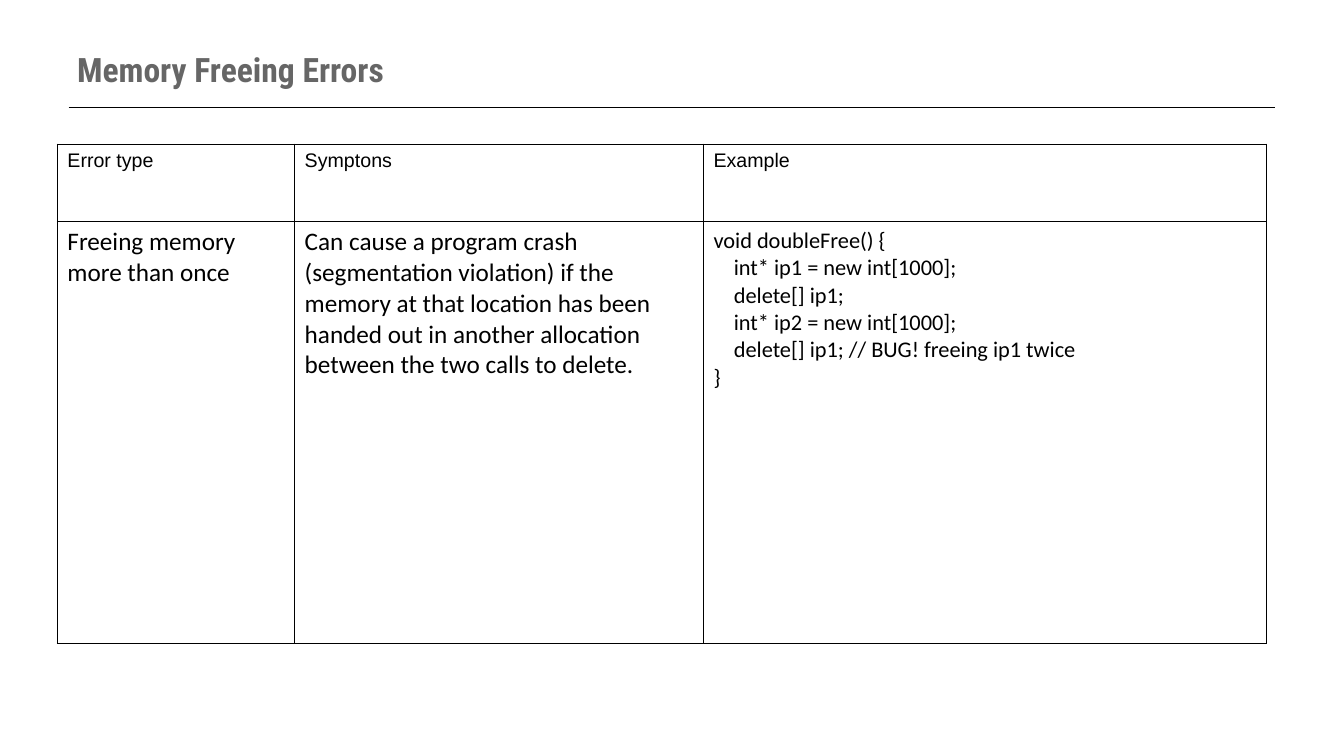
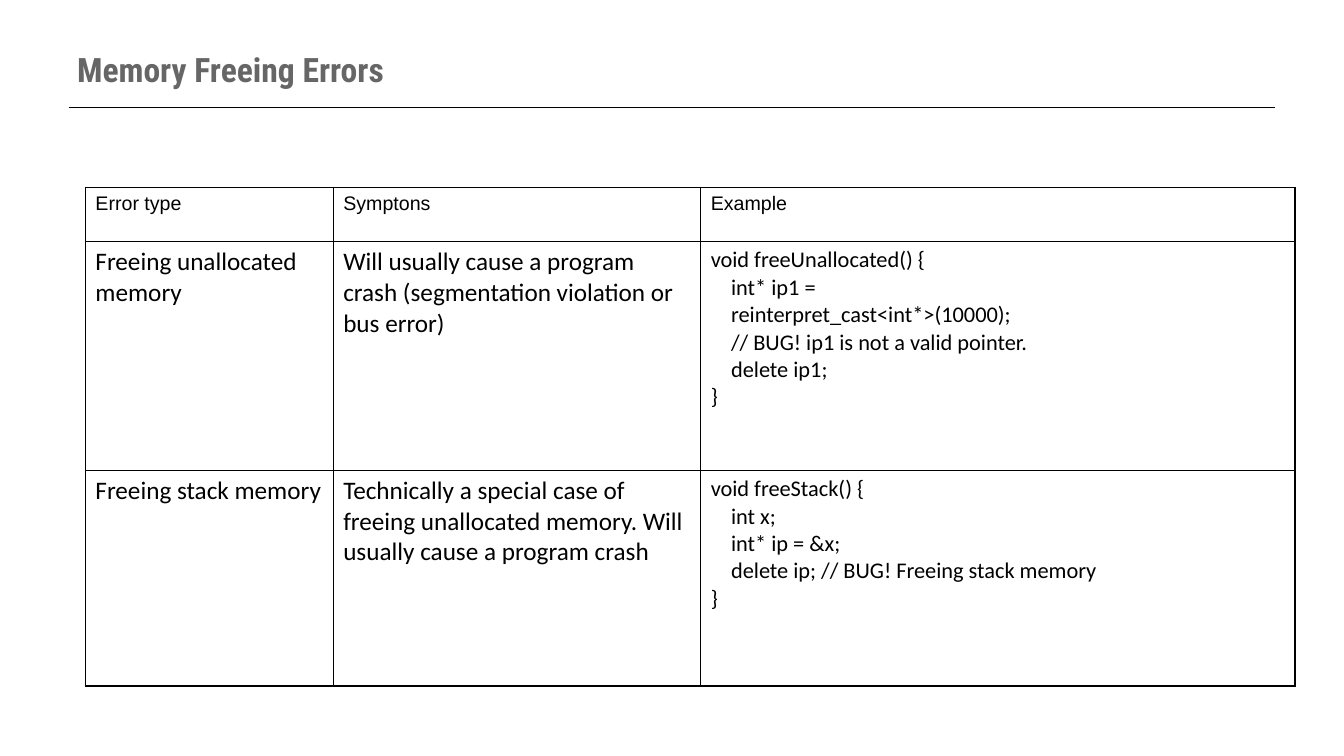
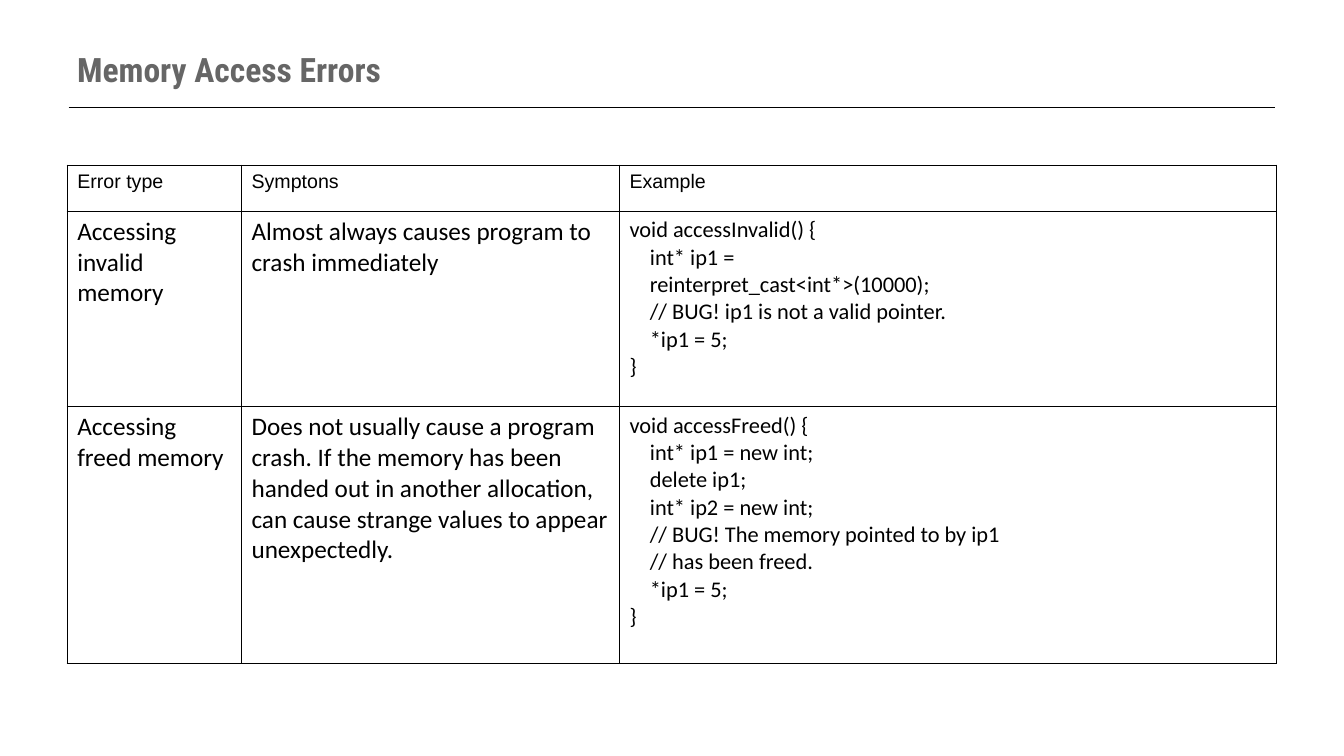
"""Build three slides of tables on memory freeing and memory access errors."""
from lxml.etree import SubElement
from pptx import Presentation
from pptx.dml.color import RGBColor
from pptx.enum.shapes import MSO_CONNECTOR as Connector
from pptx.enum.text import MSO_ANCHOR as Anchor
from pptx.oxml.ns import qn
from pptx.util import Pt

BLACK = RGBColor(0, 0, 0)
GREY = RGBColor(0x66, 0x66, 0x66)

TITLE_FONT = {"name": "Roboto Condensed", "size": Pt(24), "bold": True}
HEADING_FONT = {"name": "Arial", "size": Pt(14), "bold": False}
PROSE_FONT = {"name": "Calibri", "size": Pt(18), "bold": False}
CODE_FONT = {"name": "Calibri", "size": Pt(16), "bold": False}
COLUMN_FONTS = (PROSE_FONT, PROSE_FONT, CODE_FONT)
TABLE_FLAGS = {"first_row": False, "horz_banding": False}
CODE_INDENT = Pt(14.5)
BORDERS = ("a:lnL", "a:lnR", "a:lnT", "a:lnB")

HEADINGS = ("Error type", "Symptons", "Example")
SLIDES = [
    {
        "title": "Memory Freeing Errors",
        "corner": (41, 103),
        "widths": (169.5, 292, 402),
        "heights": (55.5, 301),
        "errors": [
            ("Freeing memory more than once",
             "Can cause a program crash (segmentation violation) if the memory at that "
             "location has been handed out in another allocation between the two calls "
             "to delete.",
             ("void doubleFree() {",
              "int* ip1 = new int[1000];",
              "delete[] ip1;",
              "int* ip2 = new int[1000];",
              "delete[] ip1; // BUG! freeing ip1 twice",
              "}")),
        ],
    },
    {
        "title": "Memory Freeing Errors",
        "corner": (61, 134),
        "widths": (177, 262.5, 424.5),
        "heights": (38.5, 163.5, 154),
        "errors": [
            ("Freeing unallocated memory",
             "Will usually cause a program crash (segmentation violation or bus error)",
             ("void freeUnallocated() {",
              "int* ip1 =",
              "reinterpret_cast<int*>(10000);",
              "// BUG! ip1 is not a valid pointer.",
              "delete ip1;",
              "}")),
            ("Freeing stack memory",
             "Technically a special case of freeing unallocated memory. Will usually "
             "cause a program crash",
             ("void freeStack() {",
              "int x;",
              "int* ip = &x;",
              "delete ip; // BUG! Freeing stack memory",
              "}")),
        ],
    },
    {
        "title": "Memory Access Errors",
        "corner": (48, 118),
        "widths": (124.5, 270, 469.5),
        "heights": (33, 139.5, 183.5),
        "errors": [
            ("Accessing invalid memory",
             "Almost always causes program to crash immediately",
             ("void accessInvalid() {",
              "int* ip1 =",
              "reinterpret_cast<int*>(10000);",
              "// BUG! ip1 is not a valid pointer.",
              "*ip1 = 5;",
              "}")),
            ("Accessing freed memory",
             "Does not usually cause a program crash. If the memory has been handed out "
             "in another allocation, can cause strange values to appear unexpectedly.",
             ("void accessFreed() {",
              "int* ip1 = new int;",
              "delete ip1;",
              "int* ip2 = new int;",
              "// BUG! The memory pointed to by ip1",
              "// has been freed.",
              "*ip1 = 5;",
              "}")),
        ],
    },
]


def set_all(target, values):
    for attribute, value in values.items():
        setattr(target, attribute, value)


def write(frame, lines, font, color):
    for index, line in enumerate(lines):
        paragraph = frame.add_paragraph() if index else frame.paragraphs[0]
        run = paragraph.add_run()
        run.text = line
        set_all(run.font, font)
        run.font.color.rgb = color
        if 0 < index < len(lines) - 1:
            paragraph._p.get_or_add_pPr().set("marL", str(CODE_INDENT))


def add_header(slide, title):
    rule = slide.shapes.add_connector(Connector.STRAIGHT, Pt(49), Pt(77), Pt(911), Pt(77))
    rule.line.color.rgb = BLACK
    rule.line.width = Pt(0.75)
    SubElement(rule._element.spPr, qn("a:effectLst"))
    heading = slide.shapes.add_textbox(Pt(48), Pt(21.5), Pt(864), Pt(55.5)).text_frame
    set_all(heading, {"word_wrap": True, "vertical_anchor": Anchor.MIDDLE})
    write(heading, [title], TITLE_FONT, GREY)


def outline(cell):
    properties = cell._tc.get_or_add_tcPr()
    for side in BORDERS:
        border = SubElement(properties, qn(side), w=str(Pt(1)))
        fill = SubElement(border, qn("a:solidFill"))
        SubElement(fill, qn("a:srgbClr"), val=str(BLACK))
    cell.fill.background()


def add_error_table(slide, corner, widths, heights, errors):
    left, top = corner
    table = slide.shapes.add_table(
        len(heights), len(widths), Pt(left), Pt(top), Pt(sum(widths)), Pt(sum(heights))
    ).table
    set_all(table, TABLE_FLAGS)
    for column, width in zip(table.columns, widths):
        column.width = Pt(width)
    for row, height in zip(table.rows, heights):
        row.height = Pt(height)
    for row_index, entries in enumerate([HEADINGS, *errors]):
        fonts = COLUMN_FONTS if row_index else [HEADING_FONT] * len(HEADINGS)
        for column_index, (entry, font) in enumerate(zip(entries, fonts)):
            cell = table.cell(row_index, column_index)
            outline(cell)
            lines = [entry] if isinstance(entry, str) else entry
            write(cell.text_frame, lines, font, BLACK)


def main():
    deck = Presentation()
    set_all(deck, {"slide_width": Pt(960), "slide_height": Pt(540)})
    for content in SLIDES:
        slide = deck.slides.add_slide(deck.slide_layouts[6])
        add_header(slide, content["title"])
        add_error_table(
            slide, content["corner"], content["widths"], content["heights"], content["errors"]
        )
    deck.save("out.pptx")


if __name__ == "__main__":
    main()
